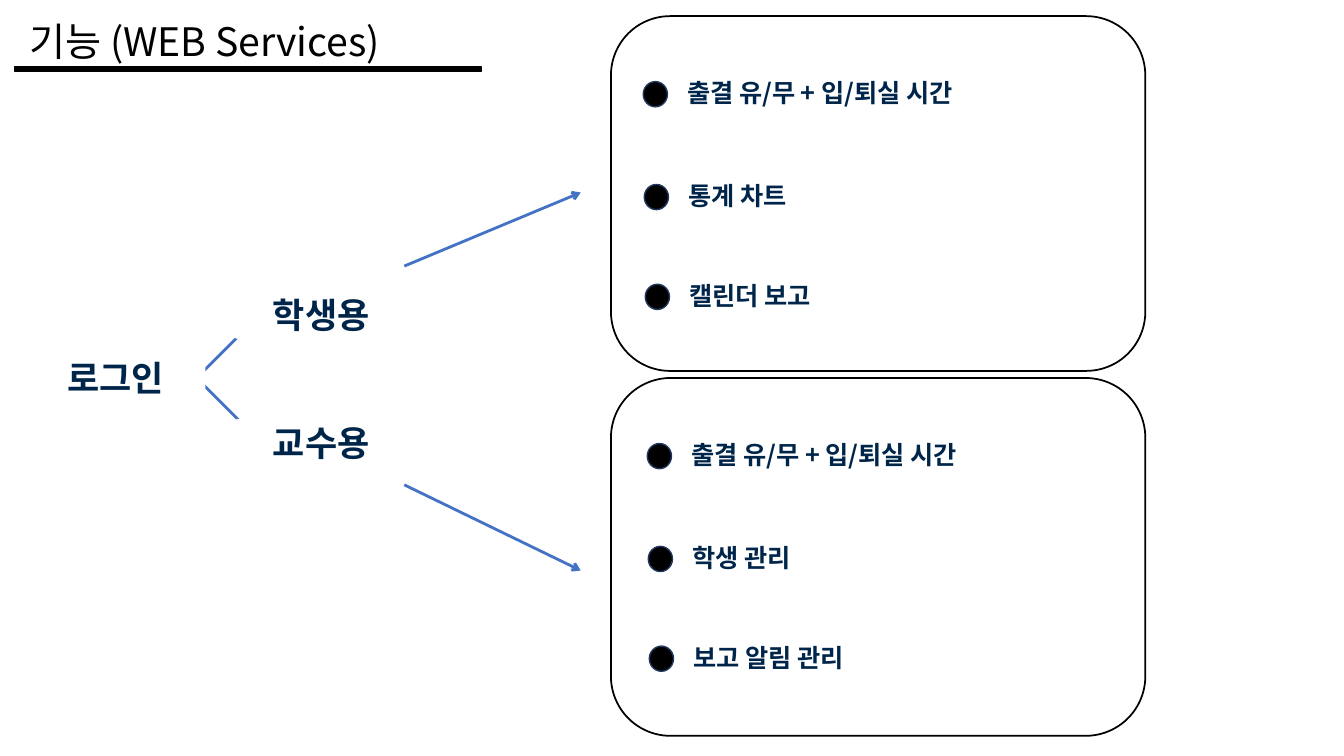
from lxml import etree
from pptx import Presentation
from pptx.dml.color import RGBColor
from pptx.enum.shapes import MSO_CONNECTOR, MSO_SHAPE
from pptx.enum.text import MSO_ANCHOR, PP_ALIGN
from pptx.oxml.ns import qn
from pptx.util import Inches, Pt

BLACK = RGBColor(0x00, 0x00, 0x00)
WHITE = RGBColor(0xFF, 0xFF, 0xFF)
NAVY = RGBColor(0x00, 0x25, 0x4A)
BLUE = RGBColor(0x44, 0x72, 0xC4)
BULLET_EDGE = RGBColor(0x22, 0x39, 0x61)
FONT = "Noto Sans CJK KR"
ROUNDED = MSO_SHAPE.FLOWCHART_ALTERNATE_PROCESS
OVAL = MSO_SHAPE.OVAL
RECTANGLE = MSO_SHAPE.RECTANGLE
STRAIGHT = MSO_CONNECTOR.STRAIGHT
MIDDLE = MSO_ANCHOR.MIDDLE
LEFT, CENTER = PP_ALIGN.LEFT, PP_ALIGN.CENTER


def add_box(shapes, kind, bounds, fill=None, edge=None, width=1):
    box = shapes.add_shape(kind, *(Inches(length) for length in bounds))
    box.shadow.inherit = False
    if fill is None:
        box.fill.background()
    else:
        box.fill.solid()
        box.fill.fore_color.rgb = fill
    if edge is None:
        box.line.fill.background()
    else:
        box.line.color.rgb = edge
        box.line.width = Pt(width)
    return box


def write(box, text, align, size, color, bold):
    frame = box.text_frame
    frame.word_wrap = True
    frame.vertical_anchor = MIDDLE
    para = frame.paragraphs[0]
    para.alignment = align
    span = para.add_run()
    span.text = text
    span.font.color.rgb = color
    for name, value in {"name": FONT, "size": Pt(size), "bold": bold}.items():
        setattr(span.font, name, value)
    east_asian = etree.SubElement(span.font._element, qn("a:ea"))
    east_asian.set("typeface", FONT)


deck = Presentation()
deck.slide_width, deck.slide_height = Inches(13.33), Inches(7.5)
page = deck.slides.add_slide(deck.slide_layouts[5])

# Title and its rule
title = page.shapes.title
title_bounds = {"left": 0.19, "top": 0.12, "width": 6.65, "height": 0.57}
for side, length in title_bounds.items():
    setattr(title, side, Inches(length))
write(title, "기능 (WEB Services)", LEFT, 28, BLACK, False)
add_box(page.shapes, RECTANGLE, (0.15, 0.66, 4.62, 0.05), BLACK, BLACK)

# Arrows lie beneath the role boxes
arrows = [
    (1.95, 3.75, 2.58, 3.12),
    (1.95, 3.75, 2.59, 4.39),
    (4.01, 2.64, 5.76, 1.91),
    (4.01, 4.81, 5.76, 5.66),
]
for ends in arrows:
    arrow = page.shapes.add_connector(STRAIGHT, *(Inches(end) for end in ends))
    arrow.line.color.rgb = BLUE
    arrow.line.width = Pt(2)
    line = arrow.line._get_or_add_ln()
    etree.SubElement(line, qn("a:tailEnd")).set("type", "arrow")
    etree.SubElement(arrow._element.spPr, qn("a:effectLst"))

# Login and the two roles
for text, left, top in [
    ("로그인", 0.26, 3.51),
    ("교수용", 2.3, 4.16),
    ("학생용", 2.3, 2.89),
]:
    role = add_box(page.shapes, ROUNDED, (left, top, 1.77, 0.47), WHITE, WHITE)
    write(role, text, CENTER, 25, NAVY, True)

# Feature panels: top, height, first bullet left and top, features
panels = [
    (0.16, 3.52, 6.38, 0.81, ["출결 유/무 + 입/퇴실 시간", "통계 차트", "캘린더 보고"]),
    (3.75, 3.55, 6.42, 4.4, ["출결 유/무 + 입/퇴실 시간", "학생 관리", "보고 알림 관리"]),
]
ROW_OFFSETS = [0, 1.02, 2.01]
ROW_SHIFT = 0.01

for top, height, _, _, _ in panels:
    add_box(page.shapes, ROUNDED, (6.06, top, 5.3, height), edge=BLACK, width=1.25)

for _, _, first_left, first_top, features in panels:
    for row, (offset, feature) in enumerate(zip(ROW_OFFSETS, features)):
        left = first_left + row * ROW_SHIFT
        top = first_top + offset
        item = page.shapes.add_group_shape()
        add_box(item.shapes, OVAL, (left, top, 0.24, 0.25), BLACK, BULLET_EDGE)
        label = add_box(item.shapes, ROUNDED, (left + 0.3, top - 0.26, 4.2, 0.74))
        write(label, feature, LEFT, 18, NAVY, True)

deck.save("out.pptx")
